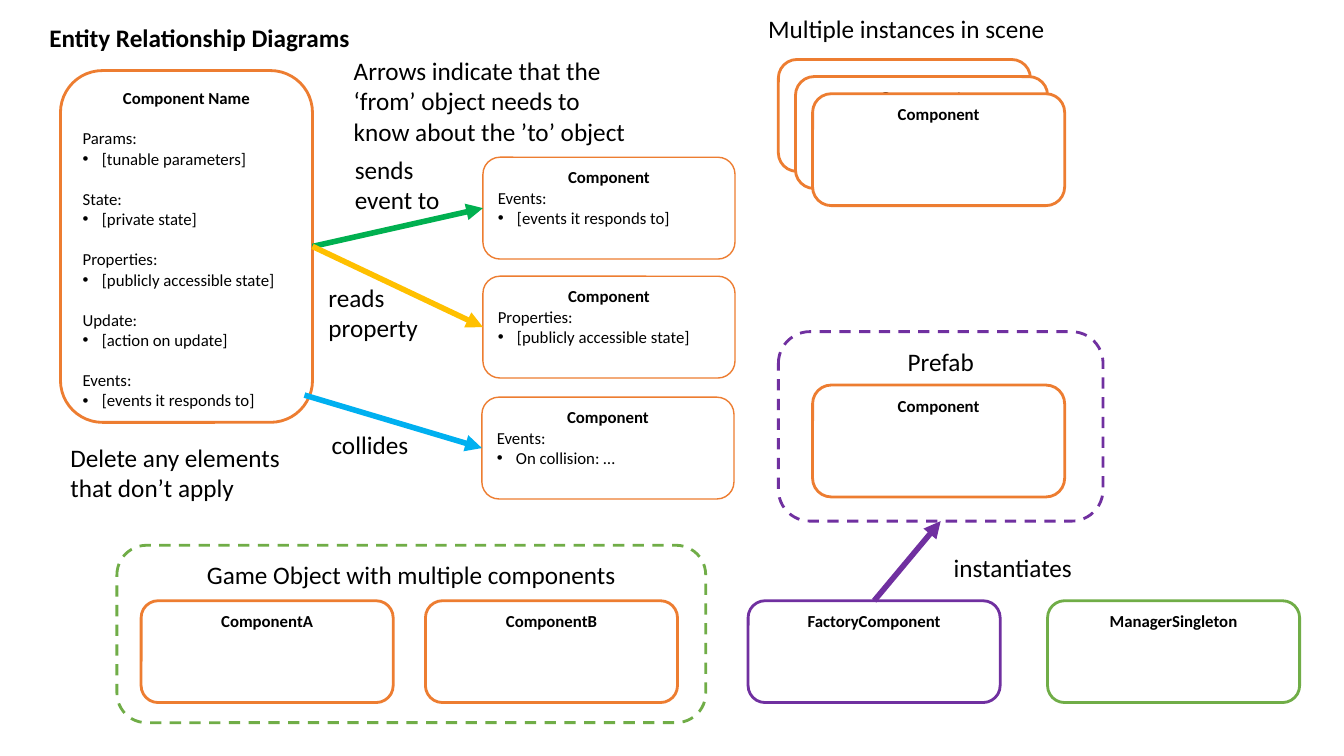
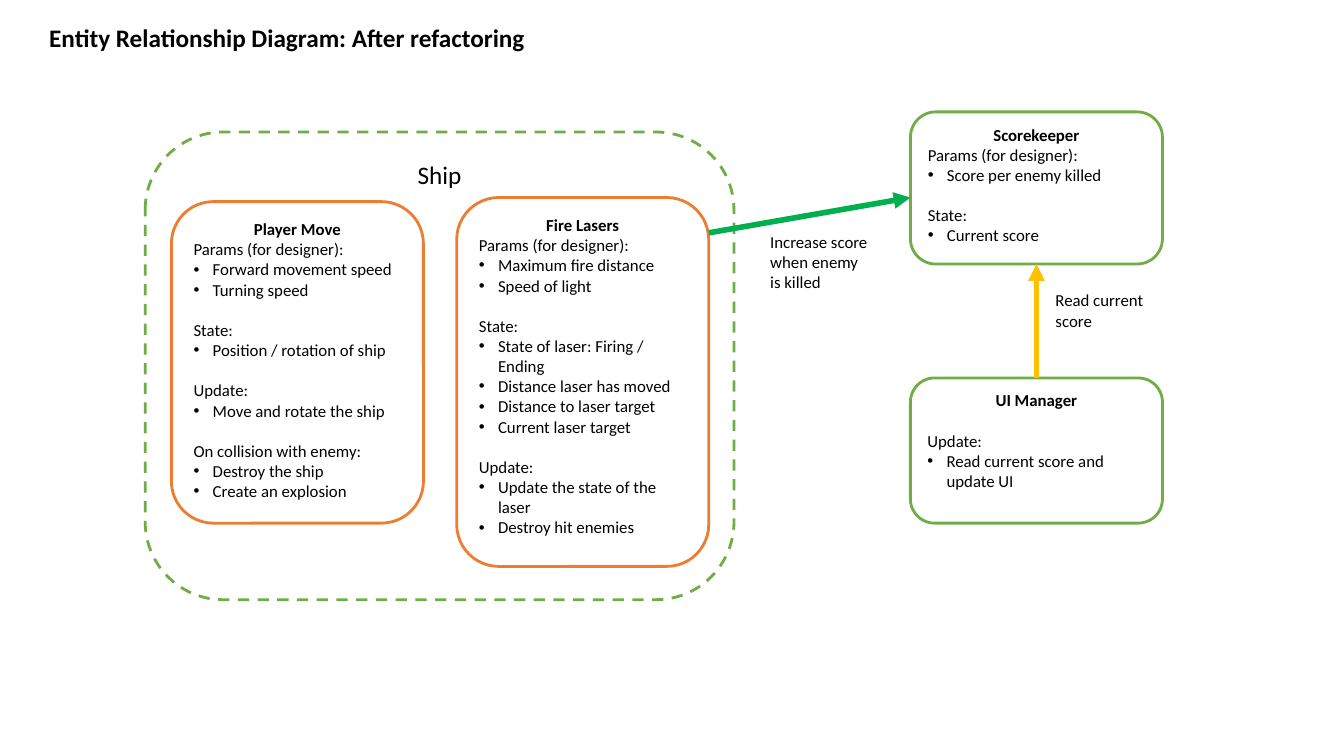
from dataclasses import dataclass

from lxml import etree
from pptx import Presentation
from pptx.dml.color import RGBColor
from pptx.enum.dml import MSO_LINE
from pptx.enum.shapes import MSO_CONNECTOR, MSO_SHAPE
from pptx.enum.text import MSO_ANCHOR, MSO_AUTO_SIZE, PP_ALIGN
from pptx.oxml.ns import qn
from pptx.util import Pt

ROUND_RECT = MSO_SHAPE.ROUNDED_RECTANGLE
STRAIGHT = MSO_CONNECTOR.STRAIGHT
DASH = MSO_LINE.DASH
TOP = MSO_ANCHOR.TOP
GROW = MSO_AUTO_SIZE.SHAPE_TO_FIT_TEXT
CENTER, LEFT = PP_ALIGN.CENTER, PP_ALIGN.LEFT
TOP_SIDE, LEFT_SIDE, BOTTOM_SIDE, RIGHT_SIDE = range(4)

PX = 9144


@dataclass(frozen=True)
class Theme:
    font: str = "Calibri"
    ink: str = "000000"
    paper: str = "FFFFFF"
    orange: str = "ED7D31"
    green: str = "70AD47"
    purple: str = "7030A0"
    event: str = "00B050"
    read: str = "FFC000"
    collide: str = "00B0F0"
    large: int = 18
    small: int = 12
    thin: int = 1
    medium: int = 2
    arrow: int = 4
    gap: float = 14.4
    indent: int = 19


T = Theme()
HEADING = {"size": Pt(T.large), "bold": True}
LABEL = {"size": Pt(T.large), "bold": False}
NAME = {"size": Pt(T.small), "bold": True}
BODY = {"size": Pt(T.small), "bold": False}
KINDS = {
    "group": {"format": LABEL, "width": T.medium, "dashed": True},
    "thin": {"format": NAME, "width": T.thin, "dashed": False},
    "part": {"format": NAME, "width": T.medium, "dashed": False},
}

SLIDES = [
    {
        "title": "Entity Relationship Diagrams",
        "title_width": 321,
        "boxes": [
            ("main", (60, 70, 250, 349), T.orange, "part", "Component Name", True, [
                ("Params:", ["[tunable parameters]"]),
                ("State:", ["[private state]"]),
                ("Properties:", ["[publicly accessible state]"]),
                ("Update:", ["[action on update]"]),
                ("Events:", ["[events it responds to]"]),
            ]),
            ("event", (479, 156, 250, 101), T.orange, "thin", "Component", False,
             [("Events:", ["[events it responds to]"])]),
            ("property", (479, 274, 250, 101), T.orange, "thin", "Component", False,
             [("Properties:", ["[publicly accessible state]"])]),
            ("collision", (478, 394, 250, 101), T.orange, "thin", "Component", False,
             [("Events:", ["On collision: …"])]),
            *[(f"instance{i}", (772 + 17 * i, 59 + 17 * i, 250, 111),
               T.orange, "part", "Component", False, []) for i in range(3)],
            ("prefab", (772, 329, 322, 188), T.purple, "group", "Prefab", False, []),
            ("prefab part", (806, 382, 250, 111), T.orange, "part", "Component", False, []),
            ("game object", (116, 541, 584, 176), T.green, "group",
             "Game Object with multiple components", False, []),
            *[(name, (x, 596, 250, 101), color, "part", name, False, [])
              for name, x, color in [
                  ("ComponentA", 140, T.orange),
                  ("ComponentB", 422, T.orange),
                  ("FactoryComponent", 742, T.purple),
                  ("ManagerSingleton", 1039, T.green),
              ]],
        ],
        "arrows": [
            (("main", RIGHT_SIDE), ("event", LEFT_SIDE), T.event),
            (("main", RIGHT_SIDE), ("property", LEFT_SIDE), T.read),
            ((302, 392), ("collision", LEFT_SIDE), T.collide),
            (("FactoryComponent", TOP_SIDE), ("prefab", BOTTOM_SIDE), T.purple),
        ],
        "labels": [
            ((341, 50, 310, 101), LABEL,
             "Arrows indicate that the\n‘from’ object needs to\nknow about the ’to’ object"),
            ((342, 148, 105, 71), LABEL, "sends\nevent to"),
            ((316, 275, 110, 71), LABEL, "reads\nproperty"),
            ((319, 421, 97, 40), LABEL, "collides"),
            ((60, 434, 231, 71), LABEL, "Delete any elements\nthat don’t apply"),
            ((752, 8, 298, 40), LABEL, "Multiple instances in scene"),
            ((936, 543, 139, 40), LABEL, "instantiates"),
        ],
    },
    {
        "title": "Entity Relationship Diagram: After refactoring",
        "title_width": 497,
        "boxes": [
            ("ship", (144, 131, 584, 464), T.green, "group", "Ship", False, []),
            ("lasers", (453, 196, 250, 366), T.orange, "part", "Fire Lasers", False, [
                ("Params (for designer):", ["Maximum fire distance", "Speed of light"]),
                ("State:", ["State of laser: Firing / Ending", "Distance laser has moved",
                            "Distance to laser target", "Current laser target"]),
                ("Update:", ["Update the state of the laser", "Destroy hit enemies"]),
            ]),
            ("move", (170, 200, 250, 319), T.orange, "part", "Player Move", False, [
                ("Params (for designer):", ["Forward movement speed", "Turning speed"]),
                ("State:", ["Position / rotation of ship"]),
                ("Update:", ["Move and rotate the ship"]),
                ("On collision with enemy:", ["Destroy the ship", "Create an explosion"]),
            ]),
            ("score", (903, 111, 250, 151), T.green, "part", "Scorekeeper", False, [
                ("Params (for designer):", ["Score per enemy killed"]),
                ("State:", ["Current score"]),
            ]),
            ("ui", (903, 375, 250, 144), T.green, "part", "UI Manager", True,
             [("Update:", ["Read current score and update UI"])]),
        ],
        "arrows": [
            ((703, 231), (903, 196), T.event),
            (("ui", TOP_SIDE), ("score", BOTTOM_SIDE), T.read),
        ],
        "labels": [
            ((754, 225, 122, 71), BODY, "Increase score\nwhen enemy\nis killed"),
            ((1037, 283, 108, 50), BODY, "Read current\nscore"),
        ],
    },
]


def write(p, text, values, align=LEFT):
    p.alignment = align
    r = p.add_run()
    r.text = text
    r.font.name = T.font
    r.font.color.rgb = RGBColor.from_string(T.ink)
    for key, value in values.items():
        setattr(r.font, key, value)


prs = Presentation()
prs.slide_width, prs.slide_height = 1333 * PX, 750 * PX

for content in SLIDES:
    s = prs.slides.add_slide(prs.slide_layouts[6])
    boxes = {}

    for key, at, color, kind, name, gap_first, sections in content["boxes"]:
        look = KINDS[kind]
        sp = s.shapes.add_shape(ROUND_RECT, *[v * PX for v in at])
        boxes[key] = sp
        sp.shadow.inherit = False
        sp.line.color.rgb = RGBColor.from_string(color)
        sp.line.width = Pt(look["width"])
        if look["dashed"]:
            sp.fill.background()
            sp.line.dash_style = DASH
        else:
            sp.fill.solid()
            sp.fill.fore_color.rgb = RGBColor.from_string(T.paper)
        tf = sp.text_frame
        tf.word_wrap = True
        tf.vertical_anchor = TOP
        write(tf.paragraphs[0], name, look["format"], CENTER)
        for i, (heading, bullets) in enumerate(sections):
            p = tf.add_paragraph()
            write(p, heading, BODY)
            if i or gap_first:
                p.space_before = Pt(T.gap)
            for bullet in bullets:
                p = tf.add_paragraph()
                write(p, bullet, BODY)
                pPr = p._p.get_or_add_pPr()
                pPr.set("marL", str(T.indent * PX))
                pPr.set("indent", str(-T.indent * PX))
                etree.SubElement(pPr, qn("a:buFont"), typeface="Arial")
                etree.SubElement(pPr, qn("a:buChar"), char="•")

    for start, end, color in content["arrows"]:
        ends = [(0, 0) if point[0] in boxes else point for point in (start, end)]
        cx = s.shapes.add_connector(STRAIGHT, *[v * PX for point in ends for v in point])
        for point, connect in ((start, cx.begin_connect), (end, cx.end_connect)):
            if point[0] in boxes:
                connect(boxes[point[0]], point[1])
        cx.line.color.rgb = RGBColor.from_string(color)
        cx.line.width = Pt(T.arrow)
        spPr = cx.element.spPr
        etree.SubElement(spPr.find(qn("a:ln")), qn("a:tailEnd"), type="triangle")
        etree.SubElement(spPr, qn("a:effectLst"))

    title = ((39, 17, content["title_width"], 40), HEADING, content["title"])
    for at, values, text in [title, *content["labels"]]:
        tf = s.shapes.add_textbox(*[v * PX for v in at]).text_frame
        tf.word_wrap = False
        tf.auto_size = GROW
        for i, line in enumerate(text.split("\n")):
            write(tf.add_paragraph() if i else tf.paragraphs[0], line, values)

prs.save("out.pptx")
